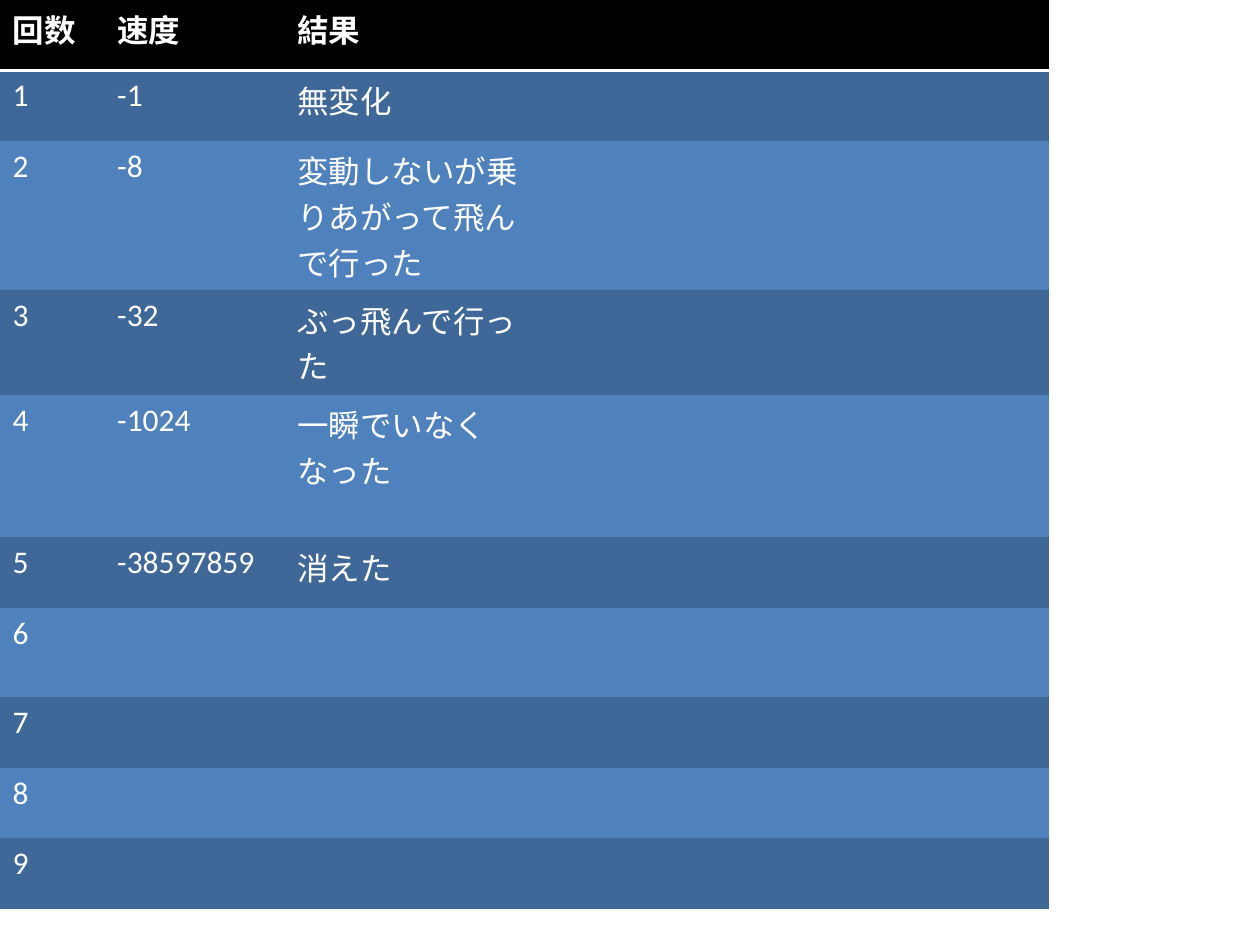
from pptx import Presentation, util as u
from pptx.dml.color import RGBColor
from pptx.oxml import parse_xml
from pptx.oxml.ns import nsdecls

HEADINGS = ("回数", "速度", "結果")
TRIALS = [
    ("-1", "無変化"),
    ("-8", "変動しないが乗りあがって飛んで行った"),
    ("-32", "ぶっ飛んで行った"),
    ("-1024", "一瞬でいなくなった"),
    ("-38597859", "消えた"),
    (), (), (), (),
]
COLUMN_WIDTHS = [0.83, 1.43, 2.03] + [0.23] * 3 + [0.83] * 4
ROW_HEIGHT = 0.56
TALL_ROWS = {2: 1.18, 3: 0.83, 4: 1.13, 6: 0.71}
HEADER, BANDS, WHITE = "000000", ("4F81BD", "3F6797"), "FFFFFF"
PLAIN_STYLE = "{2D5ABB26-0587-4C30-8999-92F81FD0307C}"


def color(value):
    """Turn a hex string into a colour."""
    return RGBColor.from_string(value)


def fill_cell(cell, words, background, bold):
    """Paint a cell and write its words."""
    cell.fill.solid()
    cell.fill.fore_color.rgb = color(background)
    cell.text = words
    font = cell.text_frame.paragraphs[0].font
    font.name, font.size, font.bold = "Calibri", u.Pt(18), bold
    font.color.rgb = color(WHITE)


def underline_cell(cell):
    """Draw a white rule along the bottom of a cell."""
    rule = parse_xml(
        f'<a:lnB {nsdecls("a")} w="{u.Pt(2)}"><a:solidFill>'
        f'<a:srgbClr val="{WHITE}"/></a:solidFill></a:lnB>')
    cell._tc.get_or_add_tcPr().insert(0, rule)


def main():
    """Build the slide with the table of trials."""
    deck = Presentation()
    deck.slide_width, deck.slide_height = u.Inches(10), u.Inches(7.5)
    slide = deck.slides.add_slide(deck.slide_layouts[6])

    rows = [HEADINGS] + [(str(n), *trial) for n, trial in enumerate(TRIALS, 1)]
    heights = [TALL_ROWS.get(r, ROW_HEIGHT) for r in range(len(rows))]
    frame = slide.shapes.add_table(
        len(rows), len(COLUMN_WIDTHS), 0, 0,
        u.Inches(sum(COLUMN_WIDTHS)), u.Inches(sum(heights)))
    results = frame.table
    results.first_row = results.horz_banding = False
    results._tbl.tblPr.find("{*}tableStyleId").text = PLAIN_STYLE

    for column, width in zip(results.columns, COLUMN_WIDTHS):
        column.width = u.Inches(width)
    for r, (row, words, height) in enumerate(zip(results.rows, rows, heights)):
        row.height = u.Inches(height)
        for c, cell in enumerate(row.cells):
            entry = words[c] if c < len(words) else ""
            fill_cell(cell, entry, BANDS[r % 2] if r else HEADER, r == 0)
            if r == 0:
                underline_cell(cell)

    deck.save("out.pptx")


if __name__ == "__main__":
    main()
